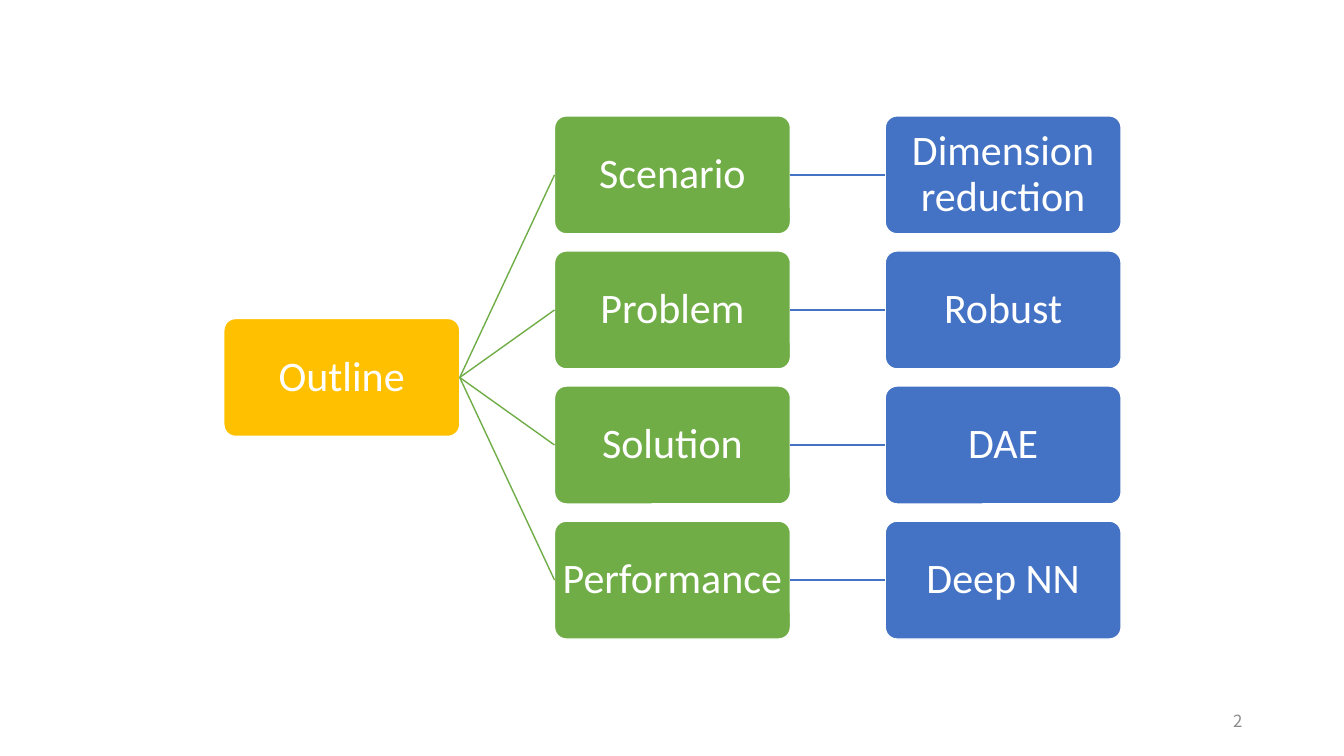
from dataclasses import dataclass

from lxml.etree import SubElement
from pptx import Presentation
from pptx.dml.color import RGBColor as RGB
from pptx.enum.shapes import MSO_CONNECTOR as CONNECTOR, MSO_SHAPE as SHAPE
from pptx.enum.text import MSO_ANCHOR as ANCHOR, PP_ALIGN as ALIGN
from pptx.oxml.ns import qn
from pptx.util import Inches, Pt


@dataclass(frozen=True)
class Theme:
    root: str = "FFC000"
    topic: str = "70AD47"
    detail: str = "4472C4"
    white: str = "FFFFFF"
    muted: str = "8C8C8C"
    font: str = "Calibri"
    number_font: str = "Noto Sans CJK SC"
    node_size: int = 30
    number_size: int = 12
    line_width: int = 1


NODE_W, NODE_H = 2.34, 1.17
ROOT_X, TOP = 2.22, 1.15
COLUMN_STEP, ROW_STEP = 3.28, 1.34
LEFT_SITE, RIGHT_SITE = 1, 3
BRANCHES = [
    ("Scenario", "Dimension reduction"),
    ("Problem", "Robust"),
    ("Solution", "DAE"),
    ("Performance", "Deep NN"),
]


class OutlineSlide:
    def __init__(self, prs, theme):
        self.theme = theme
        self.shapes = prs.slides.add_slide(prs.slide_layouts[6]).shapes

    def add_text(self, tf, text, font, size, color, align):
        tf.word_wrap = True
        tf.vertical_anchor = ANCHOR.MIDDLE
        p = tf.paragraphs[0]
        p.alignment = align
        r = p.add_run()
        r.text = text
        r.font.name = font
        r.font.size = Pt(size)
        r.font.color.rgb = RGB.from_string(color)
        return p

    def node(self, column, row, text, color):
        """Add a box at a grid cell; row may be fractional."""
        t = self.theme
        sp = self.shapes.add_shape(
            SHAPE.ROUNDED_RECTANGLE,
            Inches(ROOT_X + column * COLUMN_STEP), Inches(TOP + row * ROW_STEP),
            Inches(NODE_W), Inches(NODE_H))
        sp.adjustments[0] = 0.1
        sp.shadow.inherit = False
        sp.fill.solid()
        sp.fill.fore_color.rgb = RGB.from_string(color)
        sp.line.color.rgb = RGB.from_string(t.white)
        sp.line.width = Pt(t.line_width)
        tf = sp.text_frame
        tf.margin_left = tf.margin_right = Inches(0.02)
        tf.margin_top = tf.margin_bottom = Inches(0.02)
        p = self.add_text(tf, text, t.font, t.node_size, t.white, ALIGN.CENTER)
        p.line_spacing = 0.9
        return sp

    def link(self, parent, child, color):
        """Join the right side of parent to the left side of child."""
        line = self.shapes.add_connector(CONNECTOR.STRAIGHT, 0, 0, 0, 0)
        line.begin_connect(parent, RIGHT_SITE)
        line.end_connect(child, LEFT_SITE)
        line.line.color.rgb = RGB.from_string(color)
        line.line.width = Pt(self.theme.line_width)
        SubElement(line._element.spPr, qn("a:effectLst"))

    def page_number(self, text):
        t = self.theme
        box = self.shapes.add_textbox(
            Inches(9.42), Inches(6.95), Inches(3), Inches(0.4))
        self.add_text(box.text_frame, text, t.number_font, t.number_size,
                      t.muted, ALIGN.RIGHT)


def main():
    prs = Presentation()
    prs.slide_width, prs.slide_height = Inches(13.33), Inches(7.5)
    theme = Theme()
    s = OutlineSlide(prs, theme)

    root = s.node(0, (len(BRANCHES) - 1) / 2, "Outline", theme.root)
    for row, (topic_text, detail_text) in enumerate(BRANCHES):
        topic = s.node(1, row, topic_text, theme.topic)
        detail = s.node(2, row, detail_text, theme.detail)
        s.link(root, topic, theme.topic)
        s.link(topic, detail, theme.detail)
    s.page_number("2")

    prs.save("out.pptx")


if __name__ == "__main__":
    main()
